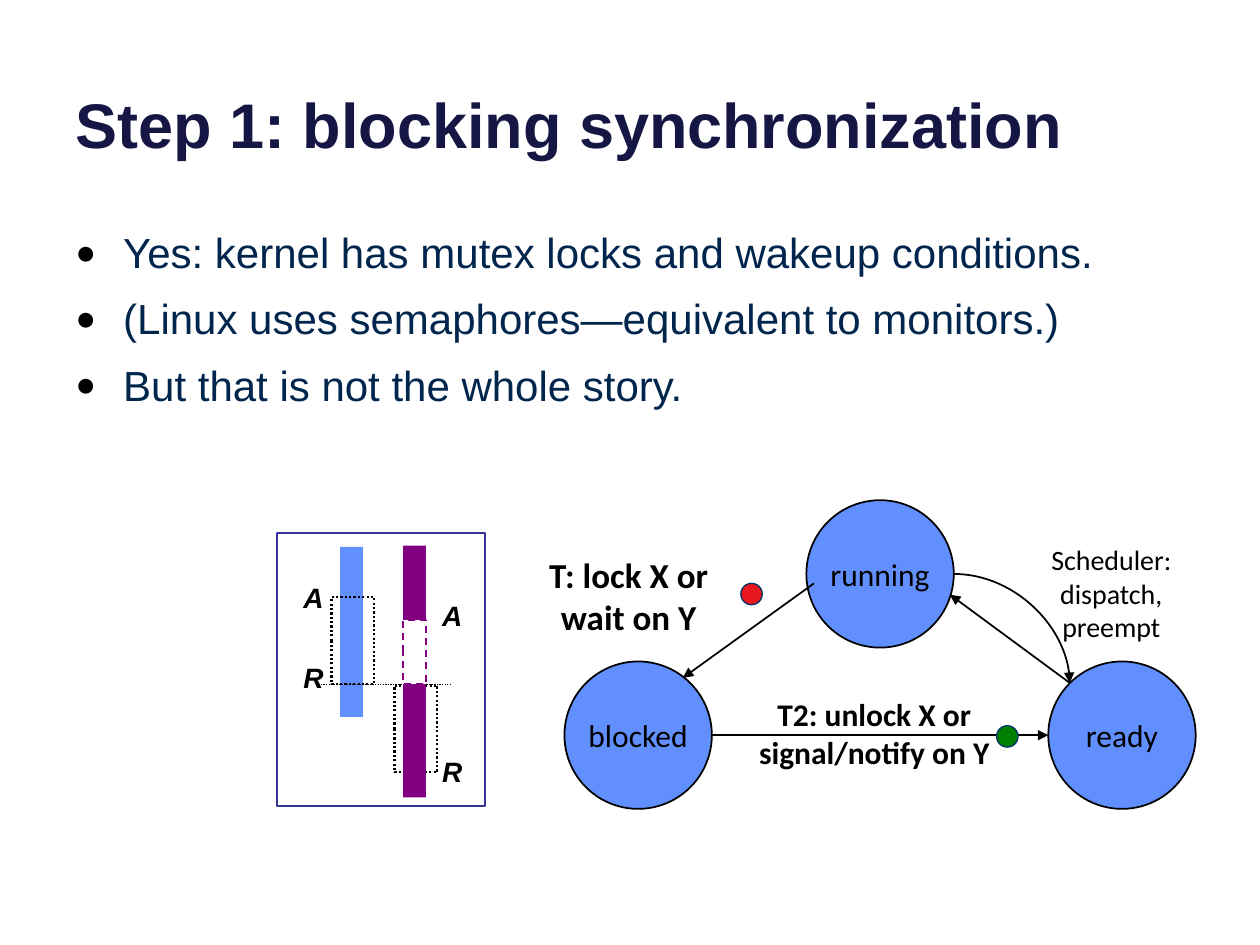
from lxml.etree import SubElement
from pptx import Presentation
from pptx.dml.color import RGBColor
from pptx.enum.dml import MSO_LINE_DASH_STYLE as Dash
from pptx.enum.shapes import MSO_CONNECTOR as Connector, MSO_SHAPE as Shape
from pptx.enum.text import MSO_ANCHOR as Anchor, MSO_AUTO_SIZE as AutoSize, PP_ALIGN as Align
from pptx.oxml.ns import qn
from pptx.util import Inches, Pt

BLUE, PURPLE, BLACK, WHITE = "618FFD", "800080", "000000", "FFFFFF"


def color(value):
    return RGBColor.from_string(value)


def add_bullet(paragraph, hanging):
    properties = paragraph._p.get_or_add_pPr()
    properties.set("marL", str(Inches(hanging)))
    properties.set("indent", str(-Inches(hanging)))
    bullet_color = SubElement(properties, qn("a:buClr"))
    SubElement(bullet_color, qn("a:srgbClr"), val=BLACK)
    SubElement(properties, qn("a:buFont"), typeface="Calibri")
    SubElement(properties, qn("a:buChar"), char="•")


def write(shape, lines, size, font="Calibri", ink=BLACK, bold=False, italic=False,
          align=Align.CENTER, anchor=Anchor.MIDDLE, wrap=False, gap=0, hanging=None):
    frame = shape.text_frame
    frame.text = "\n".join(lines)
    frame.word_wrap = wrap
    frame.vertical_anchor = anchor
    for index, paragraph in enumerate(frame.paragraphs):
        if hanging:
            add_bullet(paragraph, hanging)
        paragraph.alignment = align
        paragraph.space_before = Pt(gap if index else 0)
        for run in paragraph.runs:
            run.font.name, run.font.size = font, Pt(size)
            run.font.bold, run.font.italic = bold, italic
            run.font.color.rgb = color(ink)


def set_line(line, ink, width, dash=None):
    line.color.rgb = color(ink)
    line.width = Pt(width)
    if dash:
        line.dash_style = dash


def add_box(slide, kind, left, top, width, height, fill=None, ink=None,
            weight=1, dash=None, rotation=0):
    shape = slide.shapes.add_shape(kind, Inches(left), Inches(top), Inches(width), Inches(height))
    shape.shadow.inherit = False
    shape.rotation = rotation
    if fill:
        shape.fill.solid()
        shape.fill.fore_color.rgb = color(fill)
    else:
        shape.fill.background()
    if ink:
        set_line(shape.line, ink, weight, dash)
    else:
        shape.line.fill.background()
    return shape


def add_label(slide, left, top, width, height, lines, size, **text_format):
    label = slide.shapes.add_textbox(Inches(left), Inches(top), Inches(width), Inches(height))
    write(label, lines, size, **text_format)
    label.text_frame.auto_size = AutoSize.SHAPE_TO_FIT_TEXT


def add_line(slide, start, end, weight=1, dash=None, arrow=True, curved=False):
    kind = Connector.CURVE if curved else Connector.STRAIGHT
    connector = slide.shapes.add_connector(kind, *(Inches(value) for value in (*start, *end)))
    set_line(connector.line, BLACK, weight, dash)
    properties = connector._element.spPr
    if curved:
        properties.find(qn("a:prstGeom")).set("prst", "curvedConnector2")
    if arrow:
        SubElement(properties.find(qn("a:ln")), qn("a:tailEnd"), type="triangle", w="med", len="med")
    SubElement(properties, qn("a:effectLst"))


def place_title(slide, left, top, width, height):
    title = slide.shapes.title
    title.left, title.top = Inches(left), Inches(top)
    title.width, title.height = Inches(width), Inches(height)
    write(title, ["Step 1: blocking synchronization"], 36, font="Arial", ink="161645",
          bold=True, align=Align.LEFT, anchor=Anchor.BOTTOM, wrap=True)


def place_bullets(slide, left, top, width, height):
    body = slide.shapes.add_textbox(Inches(left), Inches(top), Inches(width), Inches(height))
    write(body, ["Yes: kernel has mutex locks and wakeup conditions.",
                 "(Linux uses semaphores—equivalent to monitors.)",
                 "But that is not the whole story."],
          24, font="Arial", ink="00264D", align=Align.LEFT, anchor=Anchor.TOP,
          wrap=True, gap=9, hanging=0.38)


def draw_timeline(slide, left, top, width, height):
    def upright(x, y, bar_width, bar_height, **style):
        """Place a bar turned by 90 degrees; x and y are its visible top left corner."""
        shift = (bar_width - bar_height) / 2
        add_box(slide, Shape.RECTANGLE, left + x + shift, top + y - shift,
                bar_height, bar_width, rotation=90, **style)

    dotted = dict(ink=BLACK, weight=1.25, dash=Dash.ROUND_DOT)
    upright(0, 0, width, height, fill=WHITE, ink="333399")
    # First thread and its critical section
    upright(0.5, 0.11, 0.18, 1.35, fill=BLUE)
    upright(0.43, 0.51, 0.34, 0.69, **dotted)
    add_line(slide, (left + 1.38, top + 1.2), (left + 0.31, top + 1.2),
             weight=0.75, dash=Dash.ROUND_DOT, arrow=False)
    # Second thread: runs, waits, then holds the lock
    upright(1, 0.1, 0.18, 0.59, fill=PURPLE)
    upright(0.93, 1.21, 0.34, 0.69, **dotted)
    upright(1, 1.2, 0.18, 0.9, fill=PURPLE)
    upright(1, 0.69, 0.18, 0.51, ink=PURPLE, dash=Dash.DASH)
    # Acquire and release marks
    for name, x, y in (("A", 0.11, 0.33), ("A", 1.21, 0.47), ("R", 0.11, 0.96), ("R", 1.21, 1.71)):
        add_label(slide, left + x, top + y, 0.35, 0.37, [name], 16, font="Arial",
                  bold=True, italic=True, align=Align.LEFT, anchor=Anchor.TOP)


def draw_states(slide, left, top, width, height):
    size = 1.17
    low, right = height - size, width - size

    def point(x, y):
        return left + x, top + y

    # States
    for name, x, y in (("running", right / 2, 0), ("ready", right, low), ("blocked", 0, low)):
        state = add_box(slide, Shape.OVAL, *point(x, y), size, size, fill=BLUE, ink=BLACK)
        write(state, [name], 18)
    # Transitions
    ready_corner = point(4.01, 1.45)
    add_line(slide, point(1.98, 0.66), point(0.94, 1.41))
    add_line(slide, point(size, low + size / 2), point(right, low + size / 2))
    add_line(slide, point(right / 2 + size, size / 2), ready_corner, curved=True)
    add_line(slide, ready_corner, point(3.06, 0.75))
    # Labels and signal lights
    wait = add_box(slide, Shape.RECTANGLE, *point(-0.13, 0.56), 1.28, 0.4, fill=WHITE)
    write(wait, ["T: lock X or", "wait on Y"], 20, bold=True)
    for fill, x, y in (("E8161F", 1.4, 0.66), ("008000", 3.43, 1.79)):
        add_box(slide, Shape.OVAL, *point(x, y), 0.17, 0.17, fill=fill, ink="003367", weight=0.75)
    add_label(slide, *point(1.03, 1.49), 2.86, 0.71, ["T2: unlock X or signal/notify on Y"],
              18, bold=True, wrap=True)
    add_label(slide, *point(3.4, 0.28), 1.88, 0.91, ["Scheduler: dispatch,", "preempt"],
              16, wrap=True)


def main():
    presentation = Presentation()
    presentation.slide_width, presentation.slide_height = Inches(10), Inches(7.5)
    slide = presentation.slides.add_slide(presentation.slide_layouts[5])
    place_title(slide, 0.5, -0.37, 9, 1.7)
    place_bullets(slide, 0.5, 1.75, 9.16, 2)
    draw_timeline(slide, 2.2, 4.23, 1.65, 2.17)
    draw_states(slide, 4.48, 3.97, 5.01, 2.45)
    presentation.save("out.pptx")


if __name__ == "__main__":
    main()
